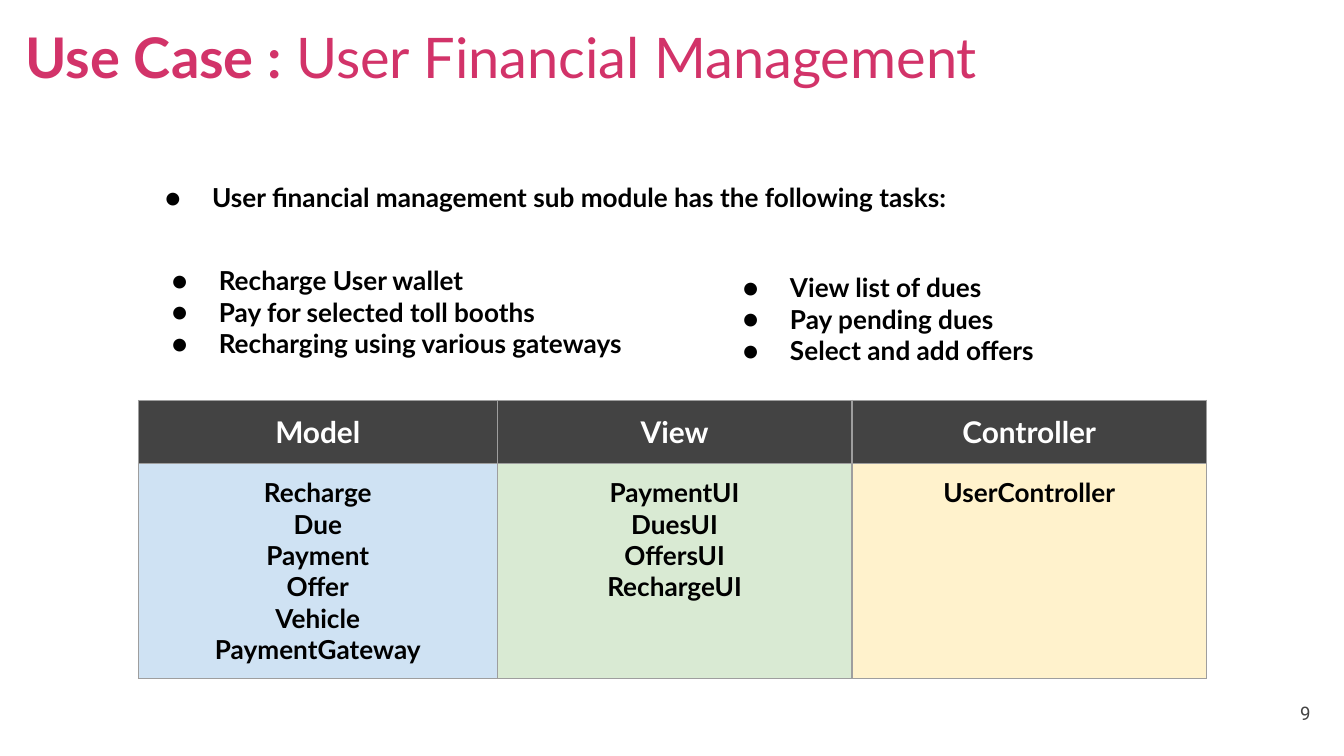
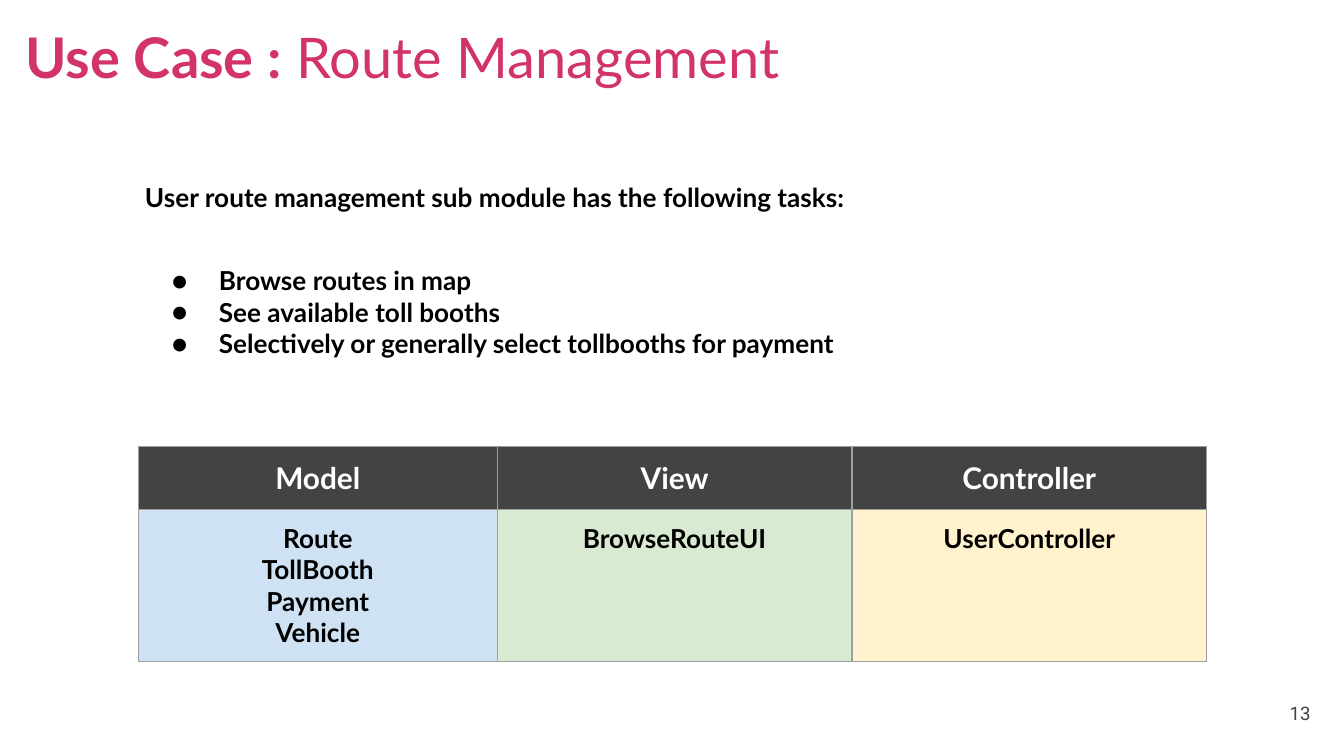
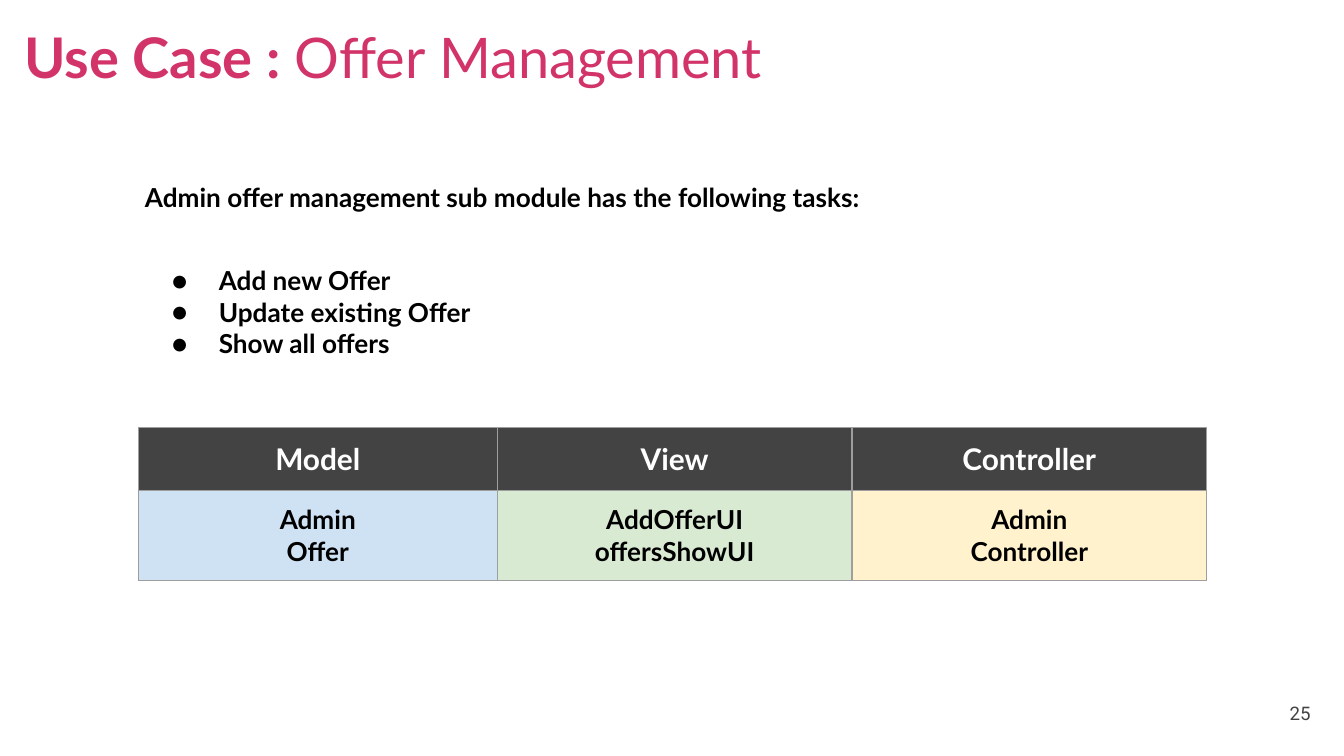
from lxml import etree
from pptx import Presentation
from pptx.dml.color import RGBColor
from pptx.enum import text
from pptx.oxml import ns
from pptx.util import Inches, Pt

PINK = RGBColor(0xD2, 0x33, 0x69)
BLACK = RGBColor(0, 0, 0)
WHITE = RGBColor(0xFF, 0xFF, 0xFF)
CHARCOAL = RGBColor(0x43, 0x43, 0x43)
BORDER = RGBColor(0x9E, 0x9E, 0x9E)
BLUE = RGBColor(0xCF, 0xE2, 0xF3)
GREEN = RGBColor(0xD9, 0xEA, 0xD3)
YELLOW = RGBColor(0xFF, 0xF2, 0xCC)

FONT, NUMBER_FONT = "Lato", "Roboto"
LEFT, RIGHT = text.PP_ALIGN.LEFT, text.PP_ALIGN.RIGHT
CENTER = text.PP_ALIGN.CENTER
TITLE_PREFIX = "Use Case :"
INSET = 0.1
HEADER_H, LINE_H = 0.47, 0.233
TABLE_LEFT = 1.03
# heading, column width, body colour
COLUMNS = [("Model", 2.67, BLUE), ("View", 2.64, GREEN), ("Controller", 2.64, YELLOW)]

USE_CASES = [
    {
        "title": "User Financial Management", "title_left": 0.09, "number": 9,
        "intro": "User financial management sub module has the following tasks:",
        "intro_bullet": True,
        "tasks": [
            ((1.03, 1.87, 3.97, 0.91),
             ["Recharge User wallet", "Pay for selected toll booths",
              "Recharging using various gateways"]),
            ((5.28, 1.92, 3.97, 0.91),
             ["View list of dues", "Pay pending dues", "Select and add offers"]),
        ],
        "table_top": 2.98,
        "classes": [
            ["Recharge", "Due", "Payment", "Offer", "Vehicle", "PaymentGateway"],
            ["PaymentUI", "DuesUI", "OffersUI", "RechargeUI"],
            ["UserController"],
        ],
    },
    {
        "title": "Route Management", "title_left": 0.09, "number": 13,
        "intro": "User route management sub module has the following tasks:",
        "intro_bullet": False,
        "tasks": [
            ((1.03, 1.87, 7.95, 0.91),
             ["Browse routes in map", "See available toll booths",
              "Selectively or generally select tollbooths for payment"]),
        ],
        "table_top": 3.32,
        "classes": [
            ["Route", "TollBooth", "Payment", "Vehicle"],
            ["BrowseRouteUI"],
            ["UserController"],
        ],
    },
    {
        "title": "Offer Management", "title_left": 0.08, "number": 25,
        "intro": "Admin offer management sub module has the following tasks:",
        "intro_bullet": False,
        "tasks": [
            ((1.03, 1.87, 3.97, 0.91),
             ["Add new Offer", "Update existing Offer", "Show all offers"]),
        ],
        "table_top": 3.18,
        "classes": [
            ["Admin", "Offer"],
            ["AddOfferUI", "offersShowUI"],
            ["Admin\nController"],
        ],
    },
]


def place(sp, left, top, width, height):
    sp.left, sp.top = Inches(left), Inches(top)
    sp.width, sp.height = Inches(width), Inches(height)


def set_insets(target):
    """Give a text frame or a table cell the same margin on every side."""
    target.margin_left = target.margin_right = Inches(INSET)
    target.margin_top = target.margin_bottom = Inches(INSET)


def add_run(p, words, size, color, bold=True, font=FONT):
    r = p.add_run()
    r.text = words
    r.font.name, r.font.size, r.font.bold = font, Pt(size), bold
    r.font.color.rgb = color


def add_bullet(p):
    pPr = p._p.get_or_add_pPr()
    pPr.set("marL", str(Inches(0.5)))
    pPr.set("indent", str(Inches(-0.35)))
    clr = etree.SubElement(pPr, ns.qn("a:buClr"))
    etree.SubElement(clr, ns.qn("a:srgbClr"), val=str(BLACK))
    etree.SubElement(pPr, ns.qn("a:buFont"), typeface=FONT)
    etree.SubElement(pPr, ns.qn("a:buChar"), char="●")


def write_lines(tf, lines, size=14, color=BLACK, align=LEFT, bullet=False, **style):
    """One paragraph per line; a newline inside a line becomes a line break."""
    for i, line in enumerate(lines):
        p = tf.add_paragraph() if i else tf.paragraphs[0]
        p.alignment = align
        if bullet:
            add_bullet(p)
        for j, words in enumerate(line.split("\n")):
            if j:
                p.add_line_break()
            add_run(p, words, size, color, **style)


def add_text(s, box, lines, **style):
    tf = s.shapes.add_textbox(*map(Inches, box)).text_frame
    tf.word_wrap = True
    set_insets(tf)
    write_lines(tf, lines, **style)
    return tf


def add_title(s, name, left):
    sp = s.shapes.title
    place(sp, left, 0.07, 7.38, 0.6)
    tf = sp.text_frame
    tf.word_wrap = True
    tf.auto_size = text.MSO_AUTO_SIZE.NONE
    tf.vertical_anchor = text.MSO_ANCHOR.TOP
    set_insets(tf)
    p = tf.paragraphs[0]
    p.alignment = LEFT
    add_run(p, TITLE_PREFIX, 30, PINK)
    add_run(p, " " + name, 30, PINK, bold=False)


def add_borders(cell):
    tcPr = cell._tc.get_or_add_tcPr()
    for i, side in enumerate(("lnL", "lnR", "lnT", "lnB")):
        ln = etree.Element(ns.qn("a:" + side), w=str(Pt(0.75)))
        fill = etree.SubElement(ln, ns.qn("a:solidFill"))
        etree.SubElement(fill, ns.qn("a:srgbClr"), val=str(BORDER))
        tcPr.insert(i, ln)


def fill_cell(cell, lines, fill, **style):
    cell.fill.solid()
    cell.fill.fore_color.rgb = fill
    set_insets(cell)
    write_lines(cell.text_frame, lines, align=CENTER, **style)
    add_borders(cell)


def add_mvc_table(s, top, classes):
    body_h = 2 * INSET + LINE_H * max(map(len, classes))
    width = sum(w for _, w, _ in COLUMNS)
    table = s.shapes.add_table(2, len(COLUMNS), Inches(TABLE_LEFT), Inches(top),
                               Inches(width), Inches(HEADER_H + body_h)).table
    table.first_row = table.horz_banding = False
    table.rows[0].height, table.rows[1].height = Inches(HEADER_H), Inches(body_h)
    for i, ((heading, col_w, color), names) in enumerate(zip(COLUMNS, classes)):
        table.columns[i].width = Inches(col_w)
        fill_cell(table.cell(0, i), [heading], CHARCOAL, size=16, color=WHITE)
        fill_cell(table.cell(1, i), names, color)


def add_use_case(prs, case):
    s = prs.slides.add_slide(prs.slide_layouts[5])
    add_title(s, case["title"], case["title_left"])
    add_mvc_table(s, case["table_top"], case["classes"])
    add_text(s, (0.98, 1.25, 8.03, 0.44), [case["intro"]], bullet=case["intro_bullet"])
    for box, tasks in case["tasks"]:
        add_text(s, box, tasks, bullet=True)
    number = add_text(s, (9.25, 5.09, 0.6, 0.43), [str(case["number"])], size=10,
                      color=CHARCOAL, align=RIGHT, bold=False, font=NUMBER_FONT)
    number.vertical_anchor = text.MSO_ANCHOR.MIDDLE


def main():
    prs = Presentation()
    prs.slide_width = Inches(10)
    prs.slide_height = prs.slide_width * 9 // 16
    for case in USE_CASES:
        add_use_case(prs, case)
    prs.save("out.pptx")


if __name__ == "__main__":
    main()
